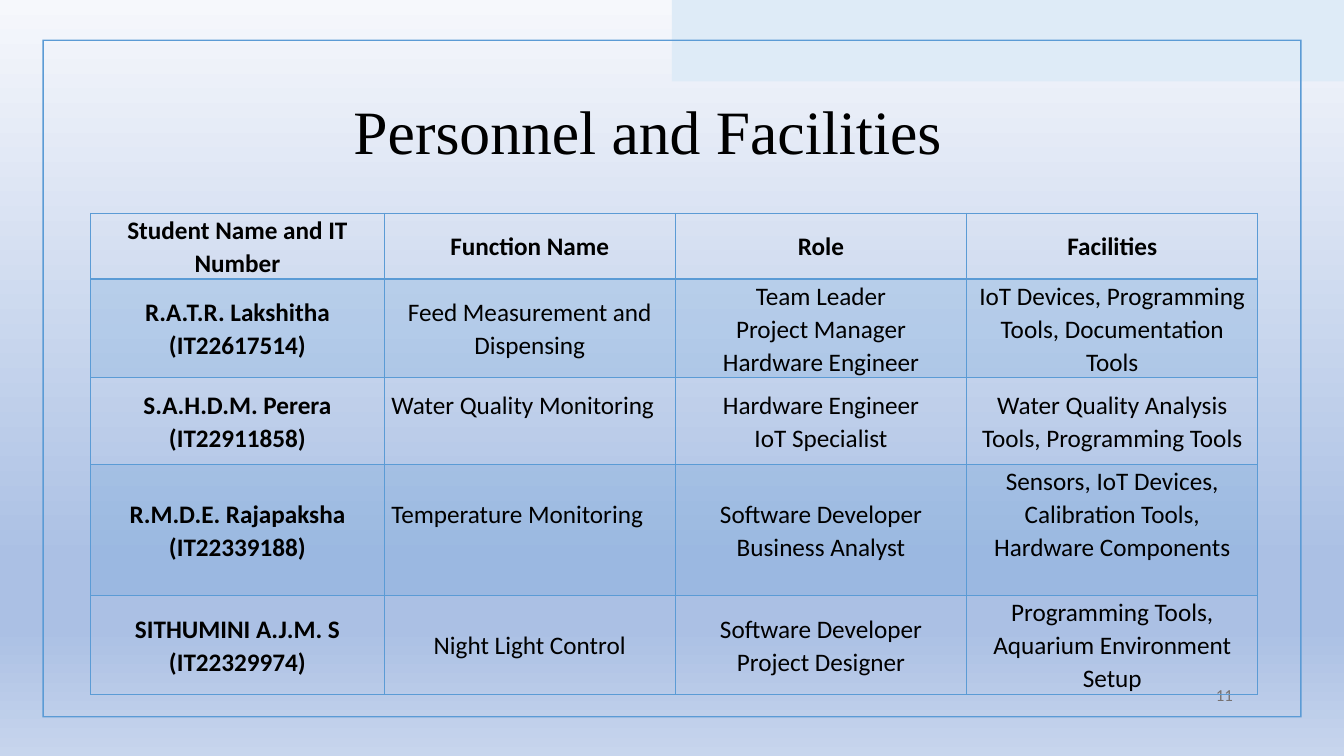
"""Build the personnel and facilities slide."""
from dataclasses import dataclass

import lxml.etree
import pptx
import pptx.dml.color
import pptx.enum.shapes
import pptx.enum.text
import pptx.oxml
import pptx.oxml.ns
import pptx.util

Cm = pptx.util.Cm
Pt = pptx.util.Pt
qn = pptx.oxml.ns.qn
ALIGN = pptx.enum.text.PP_ALIGN
MIDDLE = pptx.enum.text.MSO_ANCHOR.MIDDLE
SHAPE = pptx.enum.shapes.MSO_SHAPE


@dataclass(frozen=True)
class Theme:
    """Colours, fonts and type sizes."""
    ink: str = "000000"
    blue: str = "5B9BD5"
    pale: str = "DEEBF7"
    grey: str = "767171"
    sky: tuple = ((0, "F6F8FC"), (74, "ABC0E4"), (83, "ABC0E4"), (100, "C7D5ED"))
    serif: str = "Times New Roman"
    sans: str = "Calibri"
    head: int = 44
    body: int = 18
    small: int = 12


THEME = Theme()
WIDTHS = [7.39, 7.34, 7.34, 7.34]
HEIGHTS = [1.65, 2.49, 2.18, 3.31, 2.49]
LINE = 0.83
ROWS = [
    ["Student Name and IT Number", "Function Name", "Role", "Facilities"],
    ["R.A.T.R. Lakshitha (IT22617514)", "Feed Measurement and Dispensing",
     "Team Leader\nProject Manager\nHardware Engineer",
     "IoT Devices, Programming Tools, Documentation Tools"],
    ["S.A.H.D.M. Perera (IT22911858)", "Water Quality Monitoring",
     "Hardware Engineer\nIoT Specialist",
     "Water Quality Analysis Tools, Programming Tools"],
    ["R.M.D.E. Rajapaksha\n(IT22339188)", "Temperature Monitoring",
     "Software Developer\nBusiness Analyst",
     "Sensors, IoT Devices, Calibration Tools, Hardware Components"],
    ["SITHUMINI A.J.M. S (IT22329974)", "Night Light Control",
     "Software Developer\nProject Designer",
     "Programming Tools, Aquarium Environment Setup"],
]
LEFT = {(2, 1), (3, 1)}
RAISED = LEFT | {(3, 3)}


def write(frame, text, font=THEME.sans, size=THEME.body, color=THEME.ink,
          bold=False, align=ALIGN.CENTER, space=1.0):
    """Fill a text frame, one paragraph a line."""
    frame.text = text
    for para in frame.paragraphs:
        para.alignment = align
        para.line_spacing = space
        for run in para.runs:
            run.font.name = font
            run.font.size = Pt(size)
            run.font.bold = bold
            run.font.color.rgb = pptx.dml.color.RGBColor.from_string(color)


class Deck:
    """Hold the theme and the current slide."""

    def __init__(self, theme):
        """Open a deck with one titled slide."""
        self.theme = theme
        self.file = pptx.Presentation()
        self.file.slide_width = Cm(33.87)
        self.file.slide_height = Cm(19.05)
        self.slide = self.file.slides.add_slide(self.file.slide_layouts[5])

    def back(self, stops):
        """Paint the slide with a downward gradient."""
        fill = self.slide.background.fill
        fill.gradient()
        fill.gradient_angle = 270
        group = next(self.slide.element.iter(qn("a:gsLst")))
        for stop in list(group):
            group.remove(stop)
        for place, color in stops:
            stop = lxml.etree.SubElement(group, qn("a:gs"), pos=str(place * 1000))
            lxml.etree.SubElement(stop, qn("a:srgbClr"), val=color)

    def shape(self, kind, box, color):
        """Add a plain filled shape."""
        item = self.slide.shapes.add_shape(kind, *map(Cm, box))
        item.shadow.inherit = False
        item.fill.solid()
        item.fill.fore_color.rgb = pptx.dml.color.RGBColor.from_string(color)
        item.line.fill.background()
        return item

    def title(self, text, box):
        """Place and format the title."""
        item = self.slide.shapes.title
        item.left, item.top, item.width, item.height = map(Cm, box)
        write(item.text_frame, text, font=self.theme.serif, size=self.theme.head)
        item.text_frame.auto_size = pptx.enum.text.MSO_AUTO_SIZE.NONE
        item.text_frame.vertical_anchor = MIDDLE

    def label(self, text, box, **style):
        """Add a text box."""
        frame = self.slide.shapes.add_textbox(*map(Cm, box)).text_frame
        frame.word_wrap = True
        frame.vertical_anchor = MIDDLE
        write(frame, text, **style)

    def edge(self, cell, **sides):
        """Draw cell borders, given a width in points for each side."""
        props = cell._tc.get_or_add_tcPr()
        for place, (side, width) in enumerate(sides.items()):
            line = pptx.oxml.parse_xml(
                f'<a:ln{side} {pptx.oxml.ns.nsdecls("a")} w="{Pt(width)}">'
                f'<a:solidFill><a:srgbClr val="{self.theme.blue}"/></a:solidFill>'
                f'</a:ln{side}>')
            props.insert(place, line)

    def tint(self, cell, alpha):
        """Fill a cell with see-through blue."""
        cell.fill.solid()
        cell.fill.fore_color.rgb = pptx.dml.color.RGBColor.from_string(self.theme.blue)
        color = next(cell._tc.tcPr.iter(qn("a:srgbClr")))
        lxml.etree.SubElement(color, qn("a:alpha"), val=str(alpha * 1000))

    def table(self, rows, left, top, widths, heights):
        """Add the bordered table."""
        size = map(Cm, (left, top, sum(widths), sum(heights)))
        grid = self.slide.shapes.add_table(len(rows), len(widths), *size).table
        grid.first_row = grid.horz_banding = False
        for col, width in zip(grid.columns, widths):
            col.width = Cm(width)
        for row, height in zip(grid.rows, heights):
            row.height = Cm(height)
        for r, row in enumerate(rows):
            for c, text in enumerate(row):
                cell = grid.cell(r, c)
                cell.vertical_anchor = MIDDLE
                cell.margin_left = cell.margin_right = Cm(0.18)
                cell.margin_top = 0
                cell.margin_bottom = Cm(LINE if (r, c) in RAISED else 0)
                write(cell.text_frame, text, bold=r == 0 or c == 0, space=1.07,
                      align=ALIGN.LEFT if (r, c) in LEFT else ALIGN.CENTER)
                if r % 2:
                    self.tint(cell, 20)
                else:
                    cell.fill.background()
                self.edge(cell, L=1, R=1, T=2 if r == 1 else 1, B=2 if r == 0 else 1)


def main():
    """Build and save the slide."""
    deck = Deck(THEME)
    deck.back(THEME.sky)
    deck.shape(SHAPE.RECTANGLE, (16.93, 0, 16.94, 2.05), THEME.pale)
    border = deck.shape(SHAPE.FRAME, (1.07, 1, 31.73, 17.08), THEME.blue)
    border.adjustments[0] = 0.002
    deck.label("11", (23.7, 17, 7.62, 1.01), size=THEME.small,
               color=THEME.grey, align=ALIGN.RIGHT)
    deck.table(ROWS, 2.29, 5.38, WIDTHS, HEIGHTS)
    deck.title("Personnel and Facilities", (3.07, 2.21, 26.52, 2.13))
    deck.file.save("out.pptx")


if __name__ == "__main__":
    main()
